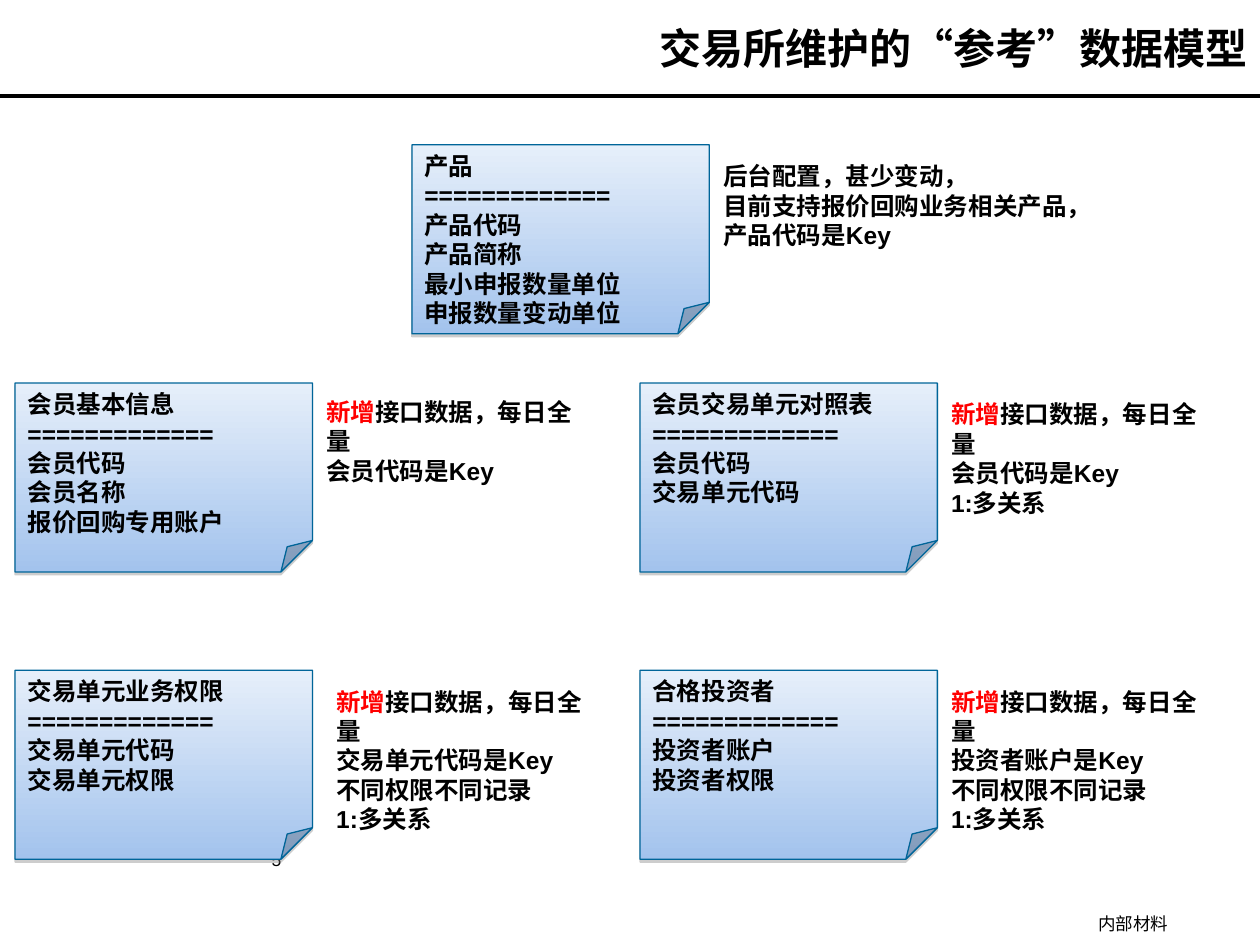
from dataclasses import dataclass

from lxml import etree
from pptx import Presentation
from pptx.dml.color import RGBColor
from pptx.enum.shapes import MSO_CONNECTOR, MSO_SHAPE
from pptx.enum.text import MSO_ANCHOR, MSO_AUTO_SIZE, PP_ALIGN
from pptx.oxml.ns import qn
from pptx.util import Inches, Pt

FOLDED_CORNER = MSO_SHAPE.FOLDED_CORNER
STRAIGHT = MSO_CONNECTOR.STRAIGHT
TOP, BOTTOM = MSO_ANCHOR.TOP, MSO_ANCHOR.BOTTOM
LEFT, CENTER, RIGHT = PP_ALIGN.LEFT, PP_ALIGN.CENTER, PP_ALIGN.RIGHT
FIT_SHAPE = MSO_AUTO_SIZE.SHAPE_TO_FIT_TEXT


@dataclass(frozen=True)
class Theme:
    ink: str = "000000"
    accent: str = "FF0000"
    outline: str = "006599"
    gradient_top: str = "E6EFFA"
    gradient_bottom: str = "A3C3ED"
    shadow: str = "808080"
    latin_font: str = "Arial"
    cjk_font: str = "Noto Sans CJK SC"
    title_size: float = 24
    body_size: float = 14
    footer_size: float = 10
    body_leading: float = 16.8


CARD_W, CARD_H = 2.36, 1.5
LEFT_COLUMN, MIDDLE_COLUMN, RIGHT_COLUMN = 0.12, 3.27, 5.08
TOP_ROW, MIDDLE_ROW, BOTTOM_ROW = 1.15, 3.04, 5.32
HEADING_RULE = "=" * 13
LINE_H = 0.235

NEW_DAILY = [("新增", True), ("接口数据，每日全量", False)]
ONE_TO_MANY = "1:多关系"
SEPARATE_RECORDS = "不同权限不同记录"

# left, top, heading, fields
ENTITIES = [
    (LEFT_COLUMN, MIDDLE_ROW, "会员基本信息", ["会员代码", "会员名称", "报价回购专用账户"]),
    (MIDDLE_COLUMN, TOP_ROW, "产品",
     ["产品代码", "产品简称", "最小申报数量单位", "申报数量变动单位"]),
    (LEFT_COLUMN, BOTTOM_ROW, "交易单元业务权限", ["交易单元代码", "交易单元权限"]),
    (RIGHT_COLUMN, BOTTOM_ROW, "合格投资者", ["投资者账户", "投资者权限"]),
    (RIGHT_COLUMN, MIDDLE_ROW, "会员交易单元对照表", ["会员代码", "交易单元代码"]),
]

# left, top, width, lines
REMARKS = [
    (5.64, 1.23, 3.12,
     ["后台配置，甚少变动，", "目前支持报价回购业务相关产品，", "产品代码是Key"]),
    (2.49, 3.1, 2.34, [NEW_DAILY, "会员代码是Key"]),
    (7.45, 3.12, 2.34, [NEW_DAILY, "会员代码是Key", ONE_TO_MANY]),
    (2.57, 5.4, 2.34, [NEW_DAILY, "交易单元代码是Key", SEPARATE_RECORDS, ONE_TO_MANY]),
    (7.45, 5.4, 2.34, [NEW_DAILY, "投资者账户是Key", SEPARATE_RECORDS, ONE_TO_MANY]),
]


class SlideBuilder:
    def __init__(self, slide, theme):
        self.slide = slide
        self.theme = theme

    def add_lines(self, frame, lines, size, bold=False, align=LEFT, leading=None):
        """Each line is a string or a list of (text, is_accent) pieces."""
        for index, line in enumerate(lines):
            paragraph = frame.paragraphs[0] if index == 0 else frame.add_paragraph()
            paragraph.alignment = align
            if leading:
                paragraph.line_spacing = leading
            pieces = [(line, False)] if isinstance(line, str) else line
            for text, is_accent in pieces:
                run = paragraph.add_run()
                run.text = text
                font = run.font
                font.size, font.bold = Pt(size), bold
                font.name = self.theme.latin_font
                color = self.theme.accent if is_accent else self.theme.ink
                font.color.rgb = RGBColor.from_string(color)
                east_asian = etree.SubElement(run._r.get_or_add_rPr(), qn("a:ea"))
                east_asian.set("typeface", self.theme.cjk_font)

    def label(self, left, top, width, height, text, size,
              bold=False, align=CENTER, anchor=BOTTOM, leading=0.8):
        box = self.slide.shapes.add_textbox(
            Inches(left), Inches(top), Inches(width), Inches(height))
        frame = box.text_frame
        frame.word_wrap = True
        frame.vertical_anchor = anchor
        self.add_lines(frame, [text], size, bold, align, leading)

    def rule(self, y):
        line = self.slide.shapes.add_connector(
            STRAIGHT, Inches(0), Inches(y), Inches(10), Inches(y))
        line.line.color.rgb = RGBColor.from_string(self.theme.ink)
        line.line.width = Pt(2.25)
        etree.SubElement(line._element.spPr, qn("a:effectLst"))

    def drop_shadow(self, shape):
        shape.shadow.inherit = False
        effects = shape._element.spPr.find(qn("a:effectLst"))
        shadow = etree.SubElement(effects, qn("a:outerShdw"), dist=str(Pt(1.6)),
                                  dir="5400000", rotWithShape="0")
        color = etree.SubElement(shadow, qn("a:srgbClr"), val=self.theme.shadow)
        etree.SubElement(color, qn("a:alpha"), val="38000")

    def entity(self, left, top, heading, fields):
        card = self.slide.shapes.add_shape(
            FOLDED_CORNER, Inches(left), Inches(top), Inches(CARD_W), Inches(CARD_H))
        card.fill.gradient()
        card.fill.gradient_angle = 270
        colors = (self.theme.gradient_top, self.theme.gradient_bottom)
        for stop, color in zip(card.fill.gradient_stops, colors):
            stop.color.rgb = RGBColor.from_string(color)
        card.line.color.rgb = RGBColor.from_string(self.theme.outline)
        card.line.width = Pt(0.75)
        self.drop_shadow(card)
        card.text_frame.vertical_anchor = TOP
        self.add_lines(card.text_frame, [heading, HEADING_RULE, *fields],
                       self.theme.body_size, bold=True,
                       leading=Pt(self.theme.body_leading))

    def remark(self, left, top, width, lines):
        box = self.slide.shapes.add_textbox(
            Inches(left), Inches(top), Inches(width), Inches(0.1 + LINE_H * len(lines)))
        frame = box.text_frame
        frame.word_wrap = False
        frame.auto_size = FIT_SHAPE
        self.add_lines(frame, lines, self.theme.body_size, bold=True,
                       leading=Pt(self.theme.body_leading))


def main():
    deck = Presentation()
    deck.slide_width, deck.slide_height = Inches(10), Inches(7.5)
    theme = Theme()
    builder = SlideBuilder(deck.slides.add_slide(deck.slide_layouts[6]), theme)

    builder.rule(0.76)
    builder.label(8.07, 7.16, 1.85, 0.3, "内部材料", theme.footer_size)
    builder.label(3.19, 0.13, 6.81, 0.52, "交易所维护的“参考”数据模型", theme.title_size,
                  bold=True, align=RIGHT, anchor=TOP, leading=Pt(1.2 * theme.title_size))
    builder.label(1.27, 6.65, 1.85, 0.3, "5", theme.footer_size)
    for entity in ENTITIES:
        builder.entity(*entity)
    for remark in REMARKS:
        builder.remark(*remark)
    deck.save("out.pptx")


if __name__ == "__main__":
    main()
